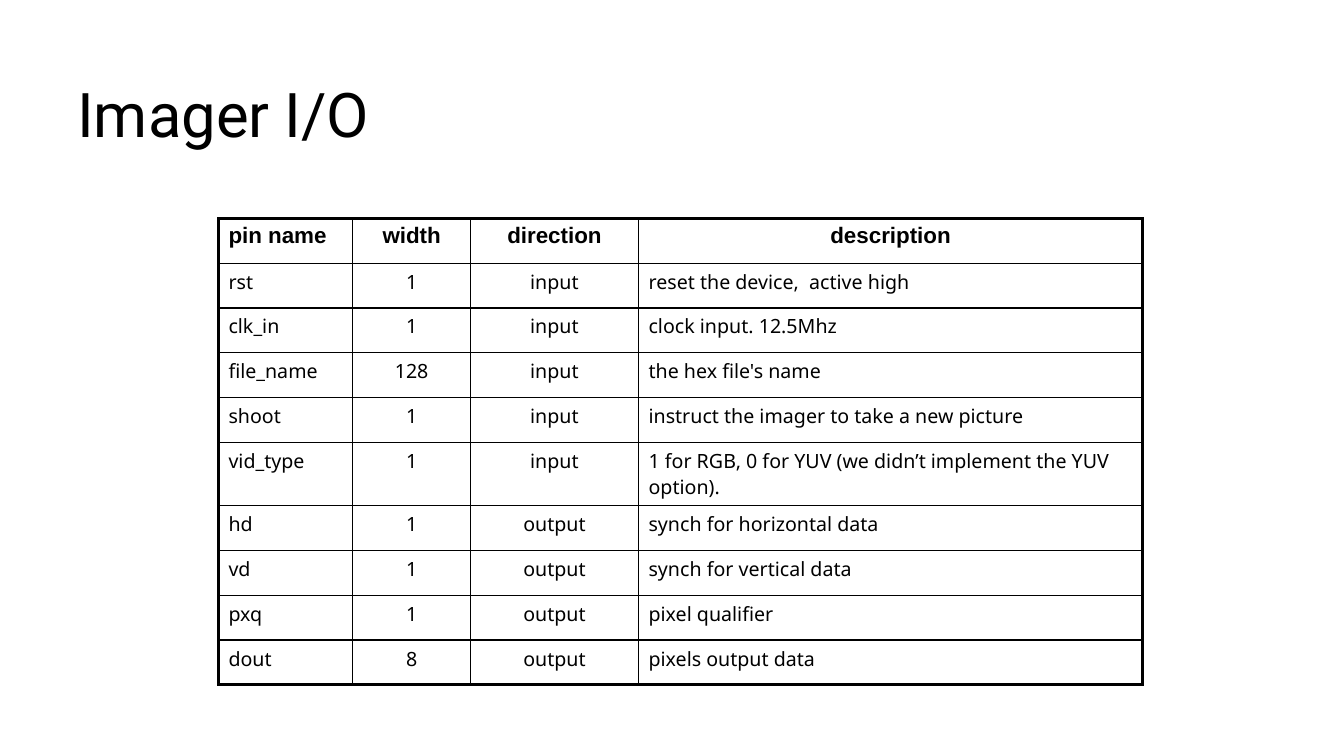
from dataclasses import dataclass

from lxml.etree import SubElement
from pptx import Presentation
from pptx.dml.color import RGBColor
from pptx.enum.text import MSO_ANCHOR, PP_ALIGN
from pptx.oxml.ns import qn
from pptx.util import Inches, Pt

# Content
TITLE = "Imager I/O"
PINS = [
    ("pin name", "width", "direction", "description"),
    ("rst", "1", "input", "reset the device,  active high"),
    ("clk_in", "1", "input", "clock input. 12.5Mhz"),
    ("file_name", "128", "input", "the hex file's name"),
    ("shoot", "1", "input", "instruct the imager to take a new picture"),
    ("vid_type", "1", "input",
     "1 for RGB, 0 for YUV (we didn’t implement the YUV option)."),
    ("hd", "1", "output", "synch for horizontal data"),
    ("vd", "1", "output", "synch for vertical data"),
    ("pxq", "1", "output", "pixel qualifier"),
    ("dout", "8", "output", "pixels output data"),
]


@dataclass(frozen=True)
class Theme:
    ink: str = "000000"
    title: tuple = ("Roboto", 44, False)
    head: tuple = ("Arial", 16, True)
    body: tuple = ("Noto Sans", 14, False)
    thin: float = 1
    thick: float = 2.25


THEME = Theme()

# Grid: column widths in sixths of an inch, row heights in ninths
COLS = (8, 7, 10, 30)
COL, ROW = Inches(1) / 6, Inches(1) / 9
ROWS = [5.13 if row[0] == "vid_type" else 4 for row in PINS]
LEFT = TOP = 13 * COL


def write(para, text, style):
    run = para.add_run()
    run.text = text
    font = run.font
    font.name, size, font.bold = style
    font.size = Pt(size)
    font.color.rgb = RGBColor.from_string(THEME.ink)


def border(cell, sides):
    props = cell._tc.get_or_add_tcPr()
    for side, outer in sides:
        width = Pt(THEME.thick if outer else THEME.thin)
        line = SubElement(props, qn(f"a:ln{side}"), w=str(width))
        fill = SubElement(line, qn("a:solidFill"))
        SubElement(fill, qn("a:srgbClr"), val=THEME.ink)


def put_title(slide, wide, high):
    title = slide.shapes.title
    title.left, title.top = int(wide * 0.05), int(high * 0.056)
    title.width, title.height = int(wide * 0.9), int(high * 0.2)
    frame = title.text_frame
    frame.vertical_anchor = MSO_ANCHOR.MIDDLE
    para = frame.paragraphs[0]
    para.alignment, para.line_spacing = PP_ALIGN.LEFT, 0.9
    write(para, TITLE, THEME.title)


def put_table(slide):
    size = int(sum(COLS) * COL), int(sum(ROWS) * ROW)
    table = slide.shapes.add_table(
        len(ROWS), len(COLS), int(LEFT), int(TOP), *size).table
    table.first_row = table.horz_banding = False
    for col, share in zip(table.columns, COLS):
        col.width = int(share * COL)
    for row, share in zip(table.rows, ROWS):
        row.height = int(share * ROW)

    last_r, last_c = len(ROWS) - 1, len(COLS) - 1
    for r, row in enumerate(PINS):
        for c, text in enumerate(row):
            cell = table.cell(r, c)
            # Borders come before the fill in the cell's properties
            border(cell, (("L", c == 0), ("R", c == last_c),
                          ("T", r == 0), ("B", r == last_r)))
            cell.fill.background()
            para = cell.text_frame.paragraphs[0]
            mid = c in (1, 2) or (r == 0 and c == last_c)
            para.alignment = PP_ALIGN.CENTER if mid else PP_ALIGN.LEFT
            style = THEME.body if r else THEME.head
            if r:
                para.space_before = Pt(style[1] * 0.2)
            write(para, text, style)


def main():
    deck = Presentation()
    deck.slide_width, deck.slide_height = Inches(13.33), Inches(7.5)
    slide = deck.slides.add_slide(deck.slide_layouts[5])
    put_title(slide, deck.slide_width, deck.slide_height)
    put_table(slide)
    deck.save("out.pptx")


if __name__ == "__main__":
    main()
